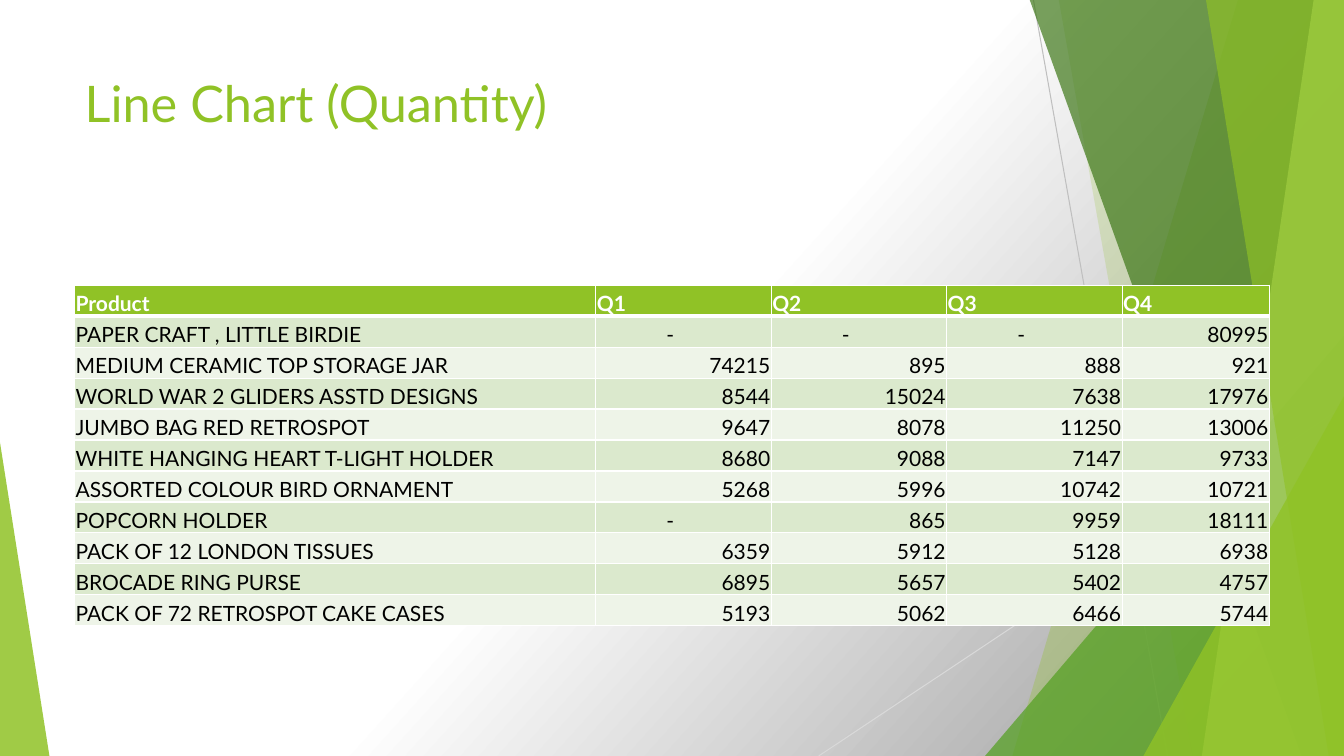
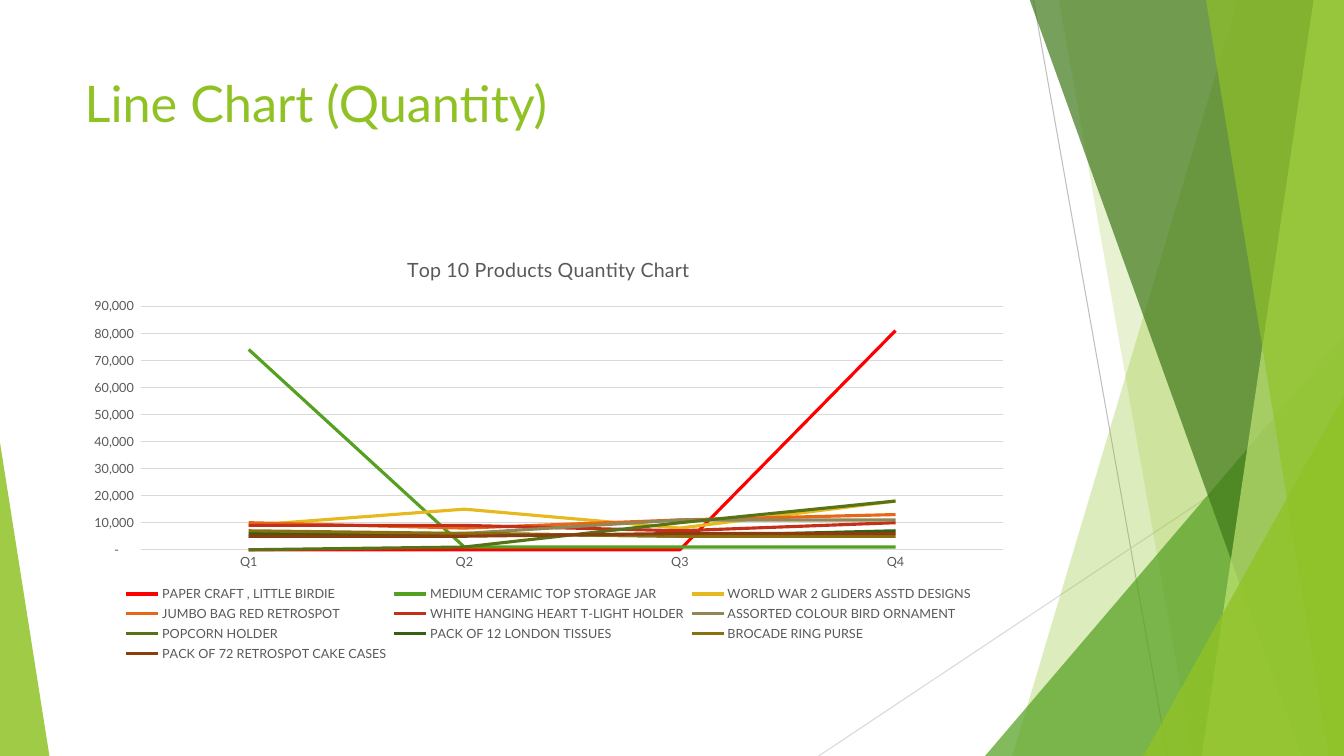
from copy import deepcopy
from dataclasses import dataclass
from typing import Any

from lxml import etree
from pptx import Presentation
from pptx.chart.data import CategoryChartData
from pptx.dml.color import RGBColor
from pptx.enum.chart import XL_CHART_TYPE, XL_LEGEND_POSITION, XL_TICK_MARK
from pptx.enum.shapes import MSO_CONNECTOR, MSO_SHAPE
from pptx.enum.text import MSO_ANCHOR, PP_ALIGN
from pptx.oxml.ns import qn
from pptx.util import Inches, Pt

TRIANGLE = MSO_SHAPE.ISOSCELES_TRIANGLE
STRAIGHT = MSO_CONNECTOR.STRAIGHT
LINE_CHART = XL_CHART_TYPE.LINE
LEGEND_BOTTOM = XL_LEGEND_POSITION.BOTTOM
NO_TICK = XL_TICK_MARK.NONE
TOP, BOTTOM = MSO_ANCHOR.TOP, MSO_ANCHOR.BOTTOM
LEFT, RIGHT = PP_ALIGN.LEFT, PP_ALIGN.RIGHT

FONT = "Lato"
WIDTH, HEIGHT = 13.33, 7.5
BLEED = -0.01
MARGIN = 0.74
BODY_WIDTH = 9.4
COLORS = {
    "lime": "90C226",
    "green": "54A021",
    "forest": "3F7819",
    "pale_lime": "C0E474",
    "white": "FFFFFF",
    "black": "000000",
    "shade": "929292",
    "rule": "BFBFBF",
    "grid": "D9D9D9",
    "label": "595959",
    "odd_row": "DBE9CD",
    "even_row": "EEF4E8",
}


@dataclass
class Ray:
    start: tuple[float, float]
    end: tuple[float, float]
    color: str


@dataclass
class Band:
    """A full-height facet that runs to the right edge of the slide."""
    top_x: float
    bottom_x: float
    color: str
    opacity: int


@dataclass
class Corner:
    """A right triangle that stands on the bottom edge of the slide."""
    left: float
    top: float
    width: float
    apex: float
    color: str
    opacity: int


@dataclass
class Product:
    name: str
    quantities: tuple[int, ...]
    color: str


DECOR = [
    Ray((10.25, 0), (11.58, HEIGHT), "rule"),
    Ray((WIDTH, 4.03), (8.12, HEIGHT), "grid"),
    Band(12.28, 10.04, "lime", 30),
    Band(10.5, 11.83, "lime", 20),
    Corner(9.77, 3.33, 3.56, 1, "green", 72),
    Band(10.21, 12.91, "forest", 70),
    Band(13.03, 11.92, "pale_lime", 70),
    Band(11.96, 13.18, "lime", 65),
    Corner(11.34, 3.93, 1.99, 1, "lime", 80),
    Corner(0, 4.39, 0.49, 0, "lime", 85),
]

QUARTERS = ["Q1", "Q2", "Q3", "Q4"]
PRODUCTS = [
    Product("PAPER CRAFT , LITTLE BIRDIE", (0, 0, 0, 80995), "FF0000"),
    Product("MEDIUM CERAMIC TOP STORAGE JAR", (74215, 895, 888, 921), "54A021"),
    Product("WORLD WAR 2 GLIDERS ASSTD DESIGNS", (8544, 15024, 7638, 17976), "E6B91E"),
    Product("JUMBO BAG RED RETROSPOT", (9647, 8078, 11250, 13006), "E76618"),
    Product("WHITE HANGING HEART T-LIGHT HOLDER", (8680, 9088, 7147, 9733), "C42F1A"),
    Product("ASSORTED COLOUR BIRD ORNAMENT", (5268, 5996, 10742, 10721), "918655"),
    Product("POPCORN HOLDER", (0, 865, 9959, 18111), "567417"),
    Product("PACK OF 12 LONDON TISSUES", (6359, 5912, 5128, 6938), "326014"),
    Product("BROCADE RING PURSE", (6895, 5657, 5402, 4757), "8C7010"),
    Product("PACK OF 72 RETROSPOT CAKE CASES", (5193, 5062, 6466, 5744), "8B3D0E"),
]
COLUMN_WIDTHS = [5.17, 1.74, 1.74, 1.74, 1.46]
DASH_INDENT = 0.7
QUANTITY_FORMAT = r'_(* #,##0_);_(* \(#,##0\);_(* "-"??_);_(@_)'


def rgb(color: str) -> RGBColor:
    return RGBColor.from_string(COLORS.get(color, color))


def style_font(font: Any, size: float, color: str, bold: bool = False) -> None:
    font.name = FONT
    font.size = Pt(size)
    font.bold = bold
    font.color.rgb = rgb(color)


def write(frame: Any, text: str, *, size: float, color: str,
          bold: bool = False, align: Any = None) -> None:
    paragraph = frame.paragraphs[0]
    paragraph.alignment = align
    run = paragraph.add_run()
    run.text = text
    style_font(run.font, size, color, bold)


def draw_ray(shapes: Any, ray: Ray) -> None:
    line = shapes.add_connector(STRAIGHT, *map(Inches, ray.start + ray.end))
    line.line.color.rgb = rgb(ray.color)
    line.line.width = Pt(0.75)
    etree.SubElement(line.element.spPr, qn("a:effectLst"))


def draw_facet(shapes: Any, facet: Band | Corner) -> None:
    if isinstance(facet, Band):
        outline = shapes.build_freeform(Inches(facet.top_x), Inches(BLEED))
        corners = [(WIDTH, BLEED), (WIDTH, HEIGHT), (facet.bottom_x, HEIGHT)]
        outline.add_line_segments([(Inches(x), Inches(y)) for x, y in corners])
        shape = outline.convert_to_shape()
    else:
        shape = shapes.add_shape(TRIANGLE, Inches(facet.left), Inches(facet.top),
                                 Inches(facet.width), Inches(HEIGHT - facet.top))
        shape.adjustments[0] = facet.apex
    shape.shadow.inherit = False
    shape.line.fill.background()
    shape.fill.solid()
    shape.fill.fore_color.rgb = rgb(facet.color)
    fill_color = shape.element.xpath("./p:spPr/a:solidFill/a:srgbClr")[0]
    etree.SubElement(fill_color, qn("a:alpha"), val=str(facet.opacity * 1000))


def decorate_layout(layout: Any, slide: Any) -> None:
    """Draw the facets on the slide, then move them behind the layout's placeholders."""
    for part in DECOR:
        if isinstance(part, Ray):
            draw_ray(slide.shapes, part)
        else:
            draw_facet(slide.shapes, part)
    facets = [shape for shape in slide.shapes if not shape.is_placeholder]
    for index, facet in enumerate(facets):
        facet.element.xpath(".//p:cNvPr")[0].set("id", str(100 + index))
        layout.shapes.element.insert(2 + index, facet.element)


def place_title(layout: Any) -> None:
    title = next(p for p in layout.placeholders if p.placeholder_format.idx == 0)
    title.left, title.top = Inches(MARGIN), Inches(0.67)
    title.width, title.height = Inches(BODY_WIDTH), Inches(1.44)


def add_title(slide: Any, text: str) -> None:
    frame = slide.shapes.title.text_frame
    frame.vertical_anchor = TOP
    write(frame, text, size=36, color="lime", align=LEFT)


def shade_background(slide: Any) -> None:
    fill = slide.background.fill
    fill.gradient()
    fill.gradient_angle = 360 - 42
    first_stop = slide.element.xpath("./p:cSld/p:bg//a:gs")[0]
    first_stop.addnext(deepcopy(first_stop))
    stops = [(0, "white"), (0.5, "white"), (1, "shade")]
    for stop, (position, color) in zip(fill.gradient_stops, stops):
        stop.position = position
        stop.color.rgb = rgb(color)


def set_borders(cell: Any, top: float, bottom: float) -> None:
    properties = cell._tc.get_or_add_tcPr()
    sides = {"a:lnL": 1, "a:lnR": 1, "a:lnT": top, "a:lnB": bottom}
    for index, (side, width) in enumerate(sides.items()):
        border = etree.Element(qn(side), w=str(Pt(width)))
        fill = etree.SubElement(border, qn("a:solidFill"))
        etree.SubElement(fill, qn("a:srgbClr"), val=COLORS["white"])
        properties.insert(index, border)


def add_quantity_table(slide: Any) -> None:
    rows = [["Product", *QUARTERS]]
    rows += [[p.name, *(str(q) if q else "-" for q in p.quantities)] for p in PRODUCTS]
    table = slide.shapes.add_table(
        len(rows), len(COLUMN_WIDTHS), Inches(MARGIN), Inches(2.83),
        Inches(sum(COLUMN_WIDTHS)), Inches(3.38)).table
    for column, width in zip(table.columns, COLUMN_WIDTHS):
        column.width = Inches(width)
    for r, row in enumerate(rows):
        header = r == 0
        row_fill = "lime" if header else "odd_row" if r % 2 else "even_row"
        for c, text in enumerate(row):
            cell = table.cell(r, c)
            cell.margin_left = Inches(DASH_INDENT if text == "-" else 0.01)
            cell.margin_right = cell.margin_top = Inches(0.01)
            cell.margin_bottom = 0
            cell.vertical_anchor = BOTTOM
            set_borders(cell, top=3 if r == 1 else 1, bottom=3 if header else 1)
            cell.fill.solid()
            cell.fill.fore_color.rgb = rgb(row_fill)
            write(cell.text_frame, text, size=15, bold=header,
                  color="white" if header else "black",
                  align=RIGHT if text.isdigit() else LEFT)


def fix_plot_area(chart: Any, **fractions: float) -> None:
    """Place the inner plot area by fractions of the chart's size."""
    plot_area = chart.element.xpath("./c:chart/c:plotArea")[0]
    for old in plot_area.findall(qn("c:layout")):
        plot_area.remove(old)
    layout = etree.Element(qn("c:layout"))
    plot_area.insert(0, layout)
    manual = etree.SubElement(layout, qn("c:manualLayout"))
    settings = {"layoutTarget": "inner", "xMode": "edge", "yMode": "edge", **fractions}
    for tag, value in settings.items():
        etree.SubElement(manual, qn(f"c:{tag}"), val=str(value))


def style_line(line: Any, color: str, width: float) -> None:
    line.color.rgb = rgb(color)
    line.width = Pt(width)


def add_quantity_chart(slide: Any) -> None:
    data = CategoryChartData(number_format=QUANTITY_FORMAT)
    data.categories = QUARTERS
    for product in PRODUCTS:
        data.add_series(product.name, [round(q, -3) for q in product.quantities])
    chart = slide.shapes.add_chart(
        LINE_CHART, Inches(MARGIN), Inches(2.36),
        Inches(BODY_WIDTH), Inches(4.24), data).chart
    style_font(chart.font, 10, "black")
    chart.has_title = True
    write(chart.chart_title.text_frame, "Top 10 Products Quantity Chart",
          size=14, color="label")
    chart.has_legend = True
    chart.legend.position = LEGEND_BOTTOM
    chart.legend.include_in_layout = False
    style_font(chart.legend.font, 9, "label")

    quarters, quantities = chart.category_axis, chart.value_axis
    for axis in (quarters, quantities):
        axis.major_tick_mark = axis.minor_tick_mark = NO_TICK
        style_font(axis.tick_labels.font, 9, "label")
    style_line(quarters.format.line, "grid", 0.75)
    quantities.format.line.fill.background()
    quantities.minimum_scale, quantities.maximum_scale = 0, 90000
    quantities.major_unit = 10000
    style_line(quantities.major_gridlines.format.line, "grid", 0.75)
    quantities.tick_labels.number_format = QUANTITY_FORMAT
    quantities.tick_labels.number_format_is_linked = False

    plot = chart.plots[0]
    plot.vary_by_categories = False
    for series, product in zip(plot.series, PRODUCTS):
        series.smooth = False
        style_line(series.format.line, product.color, 2.25)
    fix_plot_area(chart, x=0.07, y=0.16, w=0.91, h=0.57)


def main() -> None:
    deck = Presentation()
    deck.slide_width, deck.slide_height = Inches(WIDTH), Inches(HEIGHT)
    layout = deck.slide_layouts[5]
    place_title(layout)
    table_slide, chart_slide = (deck.slides.add_slide(layout) for _ in range(2))
    decorate_layout(layout, table_slide)
    for slide in (table_slide, chart_slide):
        add_title(slide, "Line Chart (Quantity)")
    shade_background(table_slide)
    add_quantity_table(table_slide)
    add_quantity_chart(chart_slide)
    deck.save("out.pptx")


if __name__ == "__main__":
    main()
